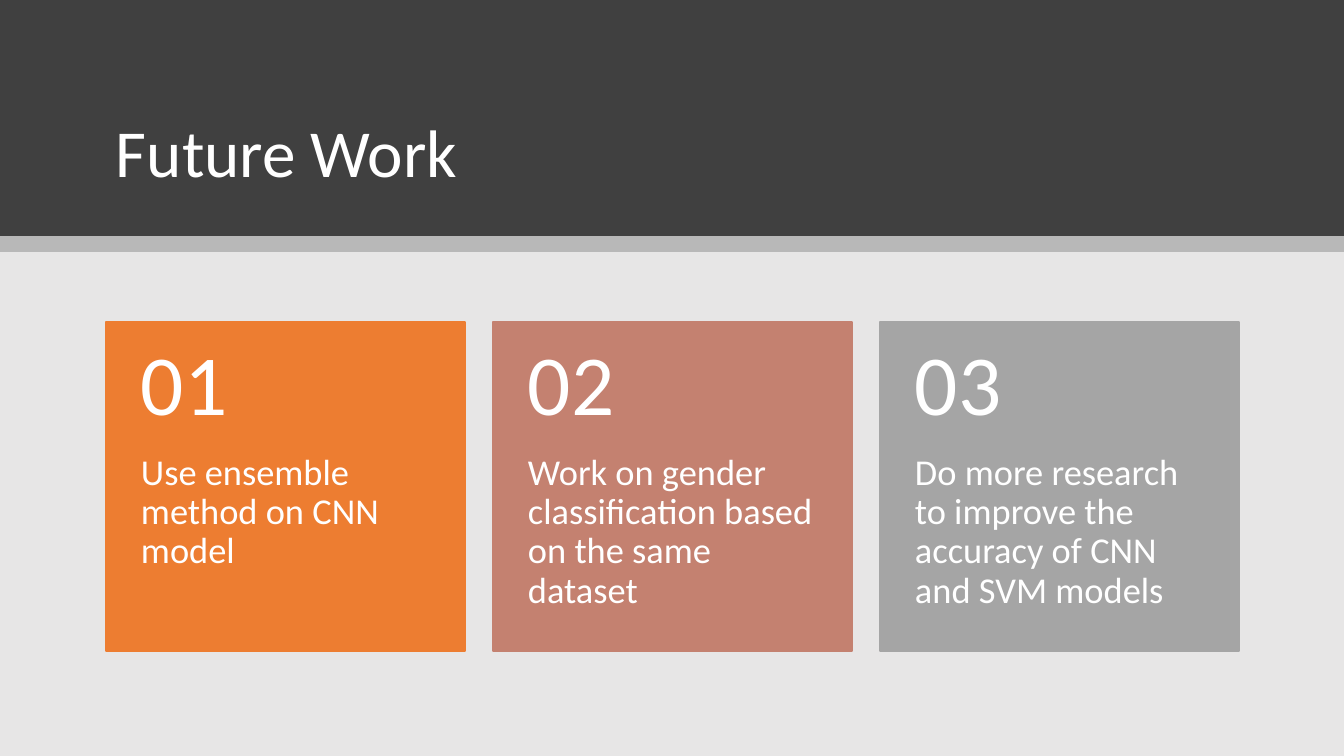
from lxml import etree
from pptx import Presentation
from pptx.dml.color import RGBColor
from pptx.enum.shapes import MSO_SHAPE
from pptx.enum.text import MSO_ANCHOR
from pptx.oxml.ns import qn
from pptx.util import Pt

PX = 914400 / 100.8
RECTANGLE = MSO_SHAPE.RECTANGLE
TOP, MIDDLE, BOTTOM = MSO_ANCHOR.TOP, MSO_ANCHOR.MIDDLE, MSO_ANCHOR.BOTTOM
COLORS = {
    "page": "E7E6E6",
    "header": "404040",
    "strip": "000000",
    "text": "FFFFFF",
    "orange": "ED7D31",
    "rose": "C48170",
    "gray": "A5A5A5",
}
WIDTH, HEIGHT = 1344, 756
HEADER_HEIGHT, STRIP_HEIGHT = 236, 16
CARD_LEFT, CARD_TOP, CARD_WIDTH, CARD_HEIGHT = 106, 322, 359, 329
CARD_STEP = 387
NUMBER_HEIGHT = 132


def add_block(left, top, width, height, color):
    """Add a plain rectangle without outline, placed in px."""
    block = slide.shapes.add_shape(
        RECTANGLE, *(round(v * PX) for v in (left, top, width, height)))
    block.shadow.inherit = False
    block.fill.solid()
    block.fill.fore_color.rgb = RGBColor.from_string(COLORS[color])
    block.line.fill.background()
    return block


def add_label(text, left, top, width, height, size, anchor, insets):
    """Add a wrapped text box; insets are left, top, right, bottom in px."""
    box = slide.shapes.add_textbox(
        *(round(v * PX) for v in (left, top, width, height)))
    frame = box.text_frame
    frame.word_wrap = True
    frame.vertical_anchor = anchor
    (frame.margin_left, frame.margin_top,
     frame.margin_right, frame.margin_bottom) = (round(v * PX) for v in insets)
    paragraph = frame.paragraphs[0]
    paragraph.text = text
    paragraph.line_spacing = 0.9
    paragraph.font.name = "Calibri"
    paragraph.font.size = Pt(size)
    paragraph.font.color.rgb = RGBColor.from_string(COLORS["text"])


prs = Presentation()
prs.slide_width = round(WIDTH * PX)
prs.slide_height = round(HEIGHT * PX)
slide = prs.slides.add_slide(prs.slide_layouts[6])

# Background and header
add_block(0, 0, WIDTH, HEIGHT, "page")
add_block(0, 0, WIDTH, HEADER_HEIGHT, "header")
add_label("Future Work", CARD_LEFT, 47, 1133, 150, 48, BOTTOM, (10, 5, 10, 5))
strip = add_block(0, HEADER_HEIGHT, WIDTH, STRIP_HEIGHT, "strip")
strip_color = strip.fill._xPr.find(qn("a:solidFill")).find(qn("a:srgbClr"))
etree.SubElement(strip_color, qn("a:alpha"), val="20000")

# Numbered cards
future_tasks = [
    ("orange", "Use ensemble method on CNN model"),
    ("rose", "Work on gender classification based on the same dataset"),
    ("gray", "Do more research to improve the accuracy of CNN and SVM models"),
]
for index, (color, task) in enumerate(future_tasks):
    left = CARD_LEFT + index * CARD_STEP
    card = add_block(left, CARD_TOP, CARD_WIDTH, CARD_HEIGHT, color)
    card.line.color.rgb = RGBColor.from_string(COLORS[color])
    card.line.width = Pt(1)
    add_label(task, left, CARD_TOP + NUMBER_HEIGHT, CARD_WIDTH,
              CARD_HEIGHT - NUMBER_HEIGHT, 26, TOP, (35, 0, 35, 36))
    add_label(f"{index + 1:02}", left, CARD_TOP, CARD_WIDTH,
              NUMBER_HEIGHT, 61, MIDDLE, (35, 18, 35, 18))

prs.save("out.pptx")
